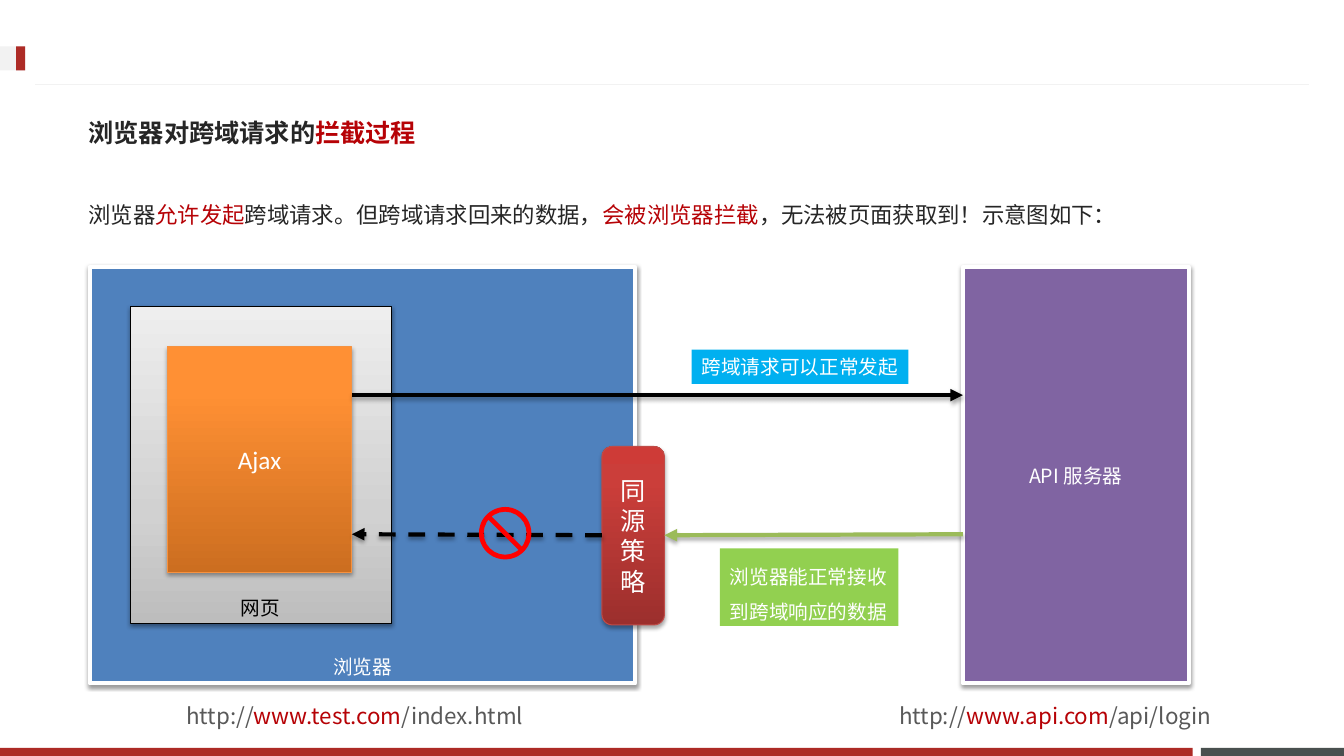
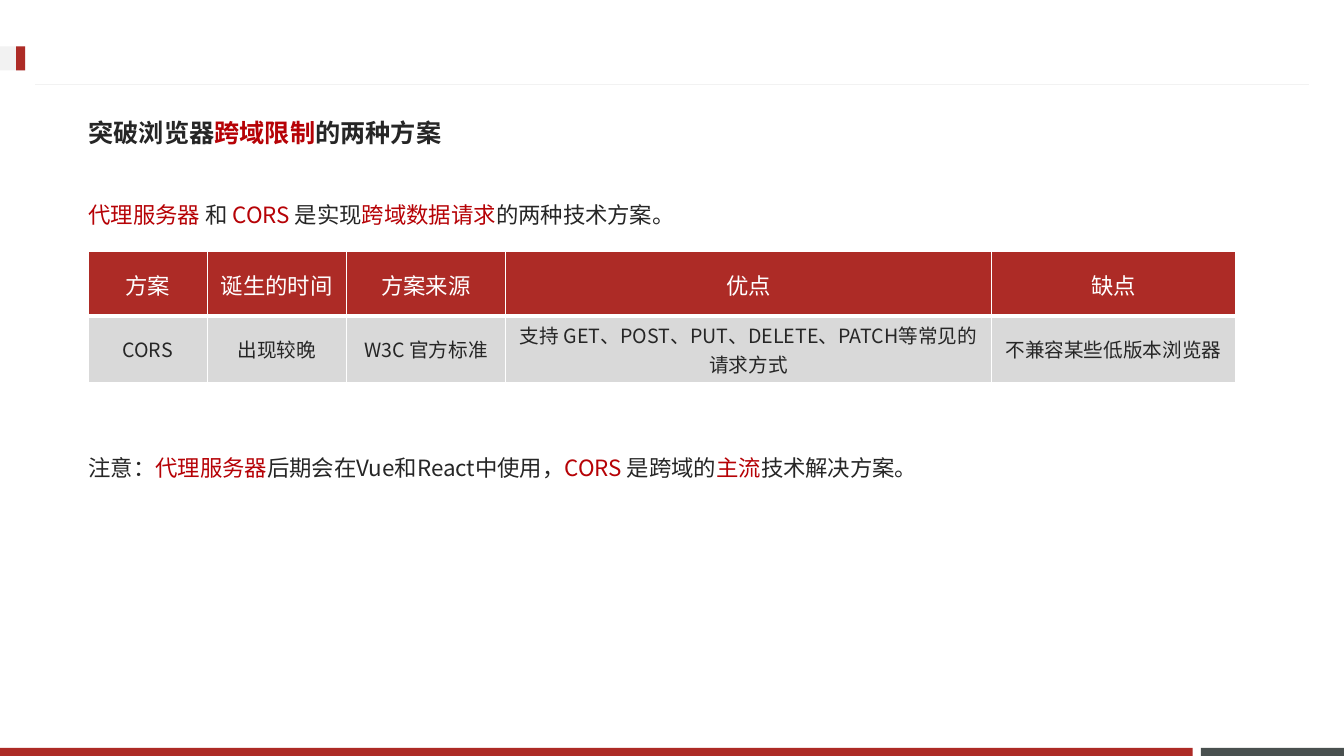
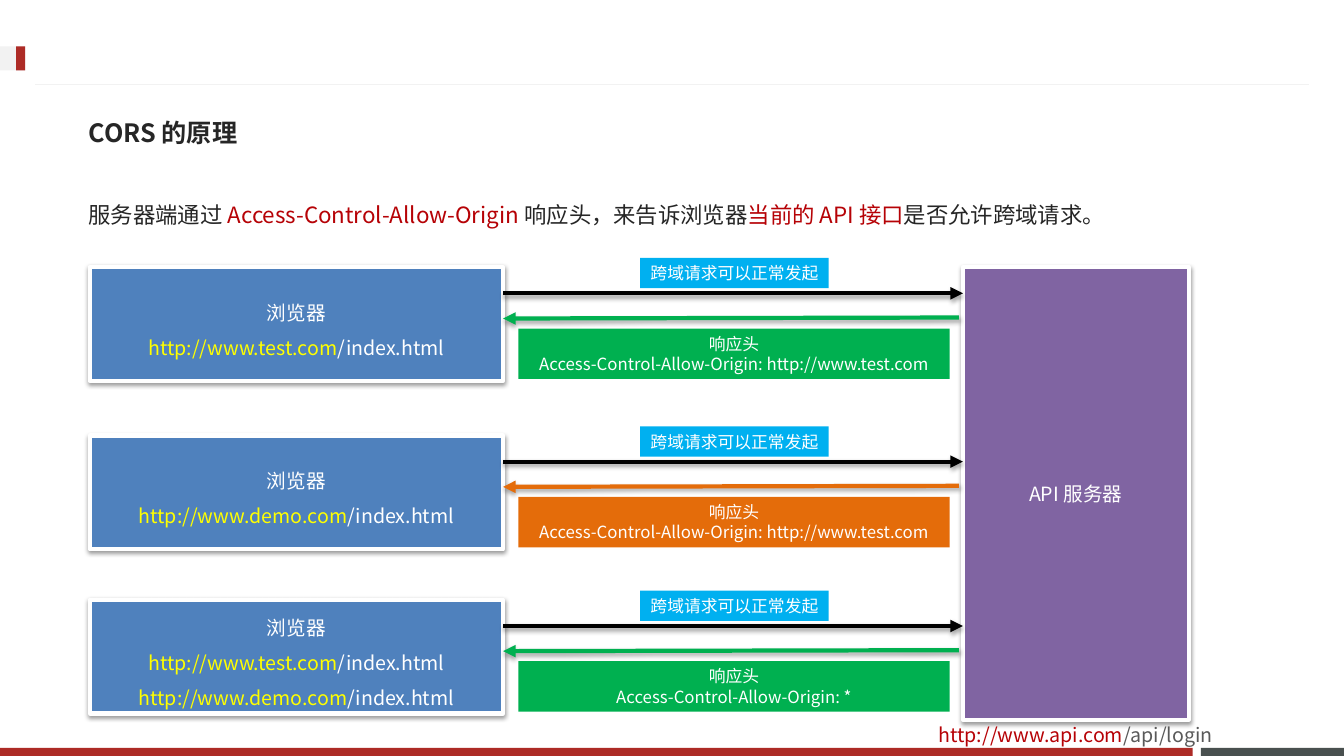
from dataclasses import dataclass

from lxml.etree import SubElement
from pptx import Presentation
from pptx.dml.color import RGBColor
from pptx.enum.dml import MSO_LINE_DASH_STYLE as Dash
from pptx.enum.shapes import MSO_CONNECTOR as Connector, MSO_SHAPE as Preset
from pptx.enum.text import MSO_ANCHOR as Anchor, PP_ALIGN as Align
from pptx.oxml.ns import qn
from pptx.util import Inches, Pt

WIDTH, HEIGHT = Inches(13.33), Inches(7.5)
COLUMN, ROW = WIDTH / 133.3, HEIGHT / 75
FONT, LATIN_FONT = "Noto Sans CJK JP", "Calibri"

BLACK = RGBColor(0x00, 0x00, 0x00)
WHITE = RGBColor(0xFF, 0xFF, 0xFF)
BRAND = RGBColor(0xAD, 0x2B, 0x26)
ACCENT = RGBColor(0xB6, 0x02, 0x06)
INK = RGBColor(0x26, 0x26, 0x26)
GRAY = RGBColor(0x59, 0x59, 0x59)
SLATE = RGBColor(0x49, 0x50, 0x4F)
PALE = RGBColor(0xF2, 0xF2, 0xF2)
CELL = RGBColor(0xD9, 0xD9, 0xD9)
BLUE = RGBColor(0x4F, 0x81, 0xBD)
PURPLE = RGBColor(0x80, 0x64, 0xA2)
SKY = RGBColor(0x00, 0xB0, 0xF0)
LIME = RGBColor(0x92, 0xD0, 0x50)
OLIVE = RGBColor(0x9B, 0xBB, 0x59)
GREEN = RGBColor(0x00, 0xB0, 0x50)
ORANGE = RGBColor(0xE4, 0x6C, 0x0A)
YELLOW = RGBColor(0xFF, 0xFF, 0x00)
RED = RGBColor(0xFF, 0x00, 0x00)
ORANGE_EDGE = RGBColor(0xF6, 0x92, 0x40)
RED_EDGE = RGBColor(0xBF, 0x4C, 0x48)

PAGE_GRADIENT = ((0, "BDBDBD"), (35, "D1D1D1"), (100, "EEEEEE"))
AJAX_GRADIENT = ((0, "CC6E20"), (80, "FF9034"), (100, "FF9136"))
POLICY_GRADIENT = ((0, "9C2F2D"), (80, "CB3E3A"), (100, "CE3B37"))


@dataclass(frozen=True)
class Frame:
    left: float
    top: float
    width: float
    height: float

    def emu(self) -> tuple:
        return (round(self.left * COLUMN), round(self.top * ROW),
                round(self.width * COLUMN), round(self.height * ROW))


@dataclass(frozen=True)
class Shadow:
    alpha: int
    blur: float
    distance: float


@dataclass(frozen=True)
class Exchange:
    top: float
    browser: str
    header: str
    color: RGBColor


PANEL_SHADOW = Shadow(38, 3.1, 1.6)
RAISED_SHADOW = Shadow(35, 3.1, 1.8)
REQUEST = "跨域请求可以正常发起"
SERVER_LEFT = 95.5

BANDS = (
    (Frame(119.1, 74.2, 14.2, 0.8), SLATE),
    (Frame(0, 74.2, 118.3, 0.8), BRAND),
    (Frame(0, 4.6, 2.5, 2.4), PALE),
    (Frame(1.6, 4.6, 0.9, 2.4), BRAND),
)

EXCHANGES = (
    Exchange(26.5, "浏览器\n|http://www.test.com|/index.html", "http://www.test.com", GREEN),
    Exchange(43.2, "浏览器\n|http://www.demo.com|/index.html", "http://www.test.com", ORANGE),
    Exchange(59.5, "浏览器\n|http://www.test.com|/index.html\n|http://www.demo.com|/index.html",
             "*", GREEN),
)

SCHEMES = (
    ("方案", "诞生的时间", "方案来源", "优点", "缺点"),
    ("CORS", "出现较晚", "W3C 官方标准",
     "支持 GET、POST、PUT、DELETE、PATCH等常见的请求方式", "不兼容某些低版本浏览器"),
)
SCHEME_COLUMNS = (11.8, 13.8, 15.8, 48.2, 24.2)
SCHEME_ROWS = (6.4, 6.6)


def write(text_frame, text: str, *, size: float, color: RGBColor = WHITE,
          accent: RGBColor = ACCENT, bold: bool = False, font: str = FONT,
          align=None, spacing=None, before=None) -> None:
    for number, line in enumerate(text.split("\n")):
        paragraph = text_frame.add_paragraph() if number else text_frame.paragraphs[0]
        paragraph.alignment = align
        paragraph.line_spacing = spacing
        paragraph.space_before = before
        for position, part in enumerate(line.split("|")):
            if not part:
                continue
            run = paragraph.add_run()
            run.text = part
            run.font.size = Pt(size)
            run.font.bold = bold
            run.font.name = font
            run.font.color.rgb = accent if position % 2 else color
            SubElement(run.font._element, qn("a:ea"), typeface=FONT)


def set_effect(shape, shadow: Shadow | None) -> None:
    properties = shape._element.spPr
    effects = SubElement(properties, qn("a:effectLst"))
    if shadow:
        outer = SubElement(effects, qn("a:outerShdw"), blurRad=str(Pt(shadow.blur)),
                           dist=str(Pt(shadow.distance)), dir="5400000", rotWithShape="0")
        tint = SubElement(outer, qn("a:srgbClr"), val="000000")
        SubElement(tint, qn("a:alpha"), val=str(shadow.alpha * 1000))


def set_gradient(shape, stops: tuple) -> None:
    shape.fill.gradient()
    shape.fill.gradient_angle = 90
    stop_list = shape._element.spPr.find(qn("a:gradFill")).find(qn("a:gsLst"))
    for child in list(stop_list):
        stop_list.remove(child)
    for position, color in stops:
        stop = SubElement(stop_list, qn("a:gs"), pos=str(position * 1000))
        SubElement(stop, qn("a:srgbClr"), val=color)


def add_block(slide, frame: Frame, fill, *, text: str = "", preset=Preset.RECTANGLE,
              edge: RGBColor | None = None, edge_width: float = 0.75,
              shadow: Shadow | None = None, anchor=Anchor.MIDDLE, wrap: bool = True,
              **text_format):
    shape = slide.shapes.add_shape(preset, *frame.emu())
    if isinstance(fill, RGBColor):
        shape.fill.solid()
        shape.fill.fore_color.rgb = fill
    else:
        set_gradient(shape, fill)
    if edge is None:
        shape.line.fill.background()
    else:
        shape.line.color.rgb = edge
        shape.line.width = Pt(edge_width)
    set_effect(shape, shadow)
    if text:
        shape.text_frame.word_wrap = wrap
        shape.text_frame.vertical_anchor = anchor
        write(shape.text_frame, text, **text_format)
    return shape


def add_panel(slide, frame: Frame, fill: RGBColor, text: str, **options) -> None:
    add_block(slide, frame, fill, text=text, edge=WHITE, edge_width=3,
              shadow=PANEL_SHADOW, size=14, align=Align.CENTER, **options)


def add_label(slide, frame: Frame, fill: RGBColor, text: str, size: float, **options) -> None:
    add_block(slide, frame, fill, text=text, size=size, anchor=Anchor.TOP,
              wrap=False, **options)


def add_text(slide, frame: Frame, text: str, *, anchor=Anchor.TOP, **text_format) -> None:
    box = slide.shapes.add_textbox(*frame.emu())
    box.text_frame.word_wrap = True
    box.text_frame.vertical_anchor = anchor
    write(box.text_frame, text, **text_format)


def add_line(slide, start: tuple, end: tuple, color: RGBColor, *, width: float = 3,
             shadow: Shadow | None = RAISED_SHADOW, arrow: bool = True, dash=None) -> None:
    line = slide.shapes.add_connector(
        Connector.STRAIGHT, round(start[0] * COLUMN), round(start[1] * ROW),
        round(end[0] * COLUMN), round(end[1] * ROW))
    line.line.color.rgb = color
    line.line.width = Pt(width)
    if dash is not None:
        line.line.dash_style = dash
    if arrow:
        SubElement(line.line._get_or_add_ln(), qn("a:tailEnd"), type="triangle")
    set_effect(line, shadow)


def add_page(presentation, title: str, lead: str):
    slide = presentation.slides.add_slide(presentation.slide_layouts[6])
    for frame, color in BANDS:
        add_block(slide, frame, color)
    add_line(slide, (129.8, 8.4), (3.5, 8.4), PALE, width=0.75, shadow=None, arrow=False)
    add_text(slide, Frame(7.8, 10.3, 117, 5.7), title, size=18, color=INK, bold=True,
             anchor=Anchor.MIDDLE, before=Pt(3.6))
    add_text(slide, Frame(7.8, 18.1, 117, 5.7), lead, size=16, color=INK,
             spacing=1.5, before=Pt(3.2))
    return slide


def add_server(slide, height: float) -> None:
    add_panel(slide, Frame(SERVER_LEFT, 26.5, 22.4, height), PURPLE, "API 服务器")


def build_interception(presentation) -> None:
    slide = add_page(presentation, "浏览器对跨域请求的|拦截过程",
                     "浏览器|允许发起|跨域请求。但跨域请求回来的数据，|会被浏览器拦截|"
                     "，无法被页面获取到！示意图如下：")
    add_server(slide, 41.3)
    add_panel(slide, Frame(8.9, 26.5, 54.1, 41.3), BLUE, "浏览器", anchor=Anchor.BOTTOM)
    for left, address in ((88.2, "http://|www.api.com|/api/login"),
                          (17.5, "http://|www.test.com|/index.html")):
        add_text(slide, Frame(left, 69.2, 37, 3.7), address, size=16, color=GRAY)
    add_block(slide, Frame(12.9, 30.4, 25.9, 31.5), PAGE_GRADIENT, text="网页", edge=BLACK,
              shadow=PANEL_SHADOW, anchor=Anchor.BOTTOM, size=14, color=BLACK,
              align=Align.CENTER)
    add_block(slide, Frame(16.6, 34.4, 18.3, 22.4), AJAX_GRADIENT, text="Ajax",
              edge=ORANGE_EDGE, shadow=RAISED_SHADOW, size=18, font=LATIN_FONT,
              align=Align.CENTER)
    add_block(slide, Frame(59.7, 44.3, 6.2, 17.7), POLICY_GRADIENT, text="同源策略",
              preset=Preset.ROUNDED_RECTANGLE, edge=RED_EDGE, shadow=RAISED_SHADOW,
              size=18, font=LATIN_FONT, align=Align.CENTER)
    add_label(slide, Frame(71.4, 54.4, 17.7, 7.7), LIME,
              "浏览器能正常接收\n到跨域响应的数据", 14, spacing=1.5, align=Align.LEFT)
    add_line(slide, (SERVER_LEFT, 53), (65.9, 53.1), OLIVE)
    add_line(slide, (34.9, 39.2), (SERVER_LEFT, 39.2), BLACK)
    add_label(slide, Frame(68.6, 34.7, 21.5, 3.4), SKY, REQUEST, 14, align=Align.LEFT)
    add_line(slide, (59.7, 53.1), (34.9, 53), BLACK, dash=Dash.DASH)
    blocked = add_block(slide, Frame(47.5, 50.3, 5.2, 5.2), RED, preset=Preset.NO_SYMBOL)
    blocked.adjustments[0] = 0.09


def set_borders(cell, top: float, bottom: float) -> None:
    properties = cell._tc.get_or_add_tcPr()
    widths = {"a:lnL": 1, "a:lnR": 1, "a:lnT": top, "a:lnB": bottom}
    for position, (side, width) in enumerate(widths.items()):
        border = SubElement(properties, qn(side), w=str(Pt(width)))
        SubElement(SubElement(border, qn("a:solidFill")), qn("a:srgbClr"), val=str(WHITE))
        properties.insert(position, border)


def build_schemes(presentation) -> None:
    slide = add_page(presentation, "突破浏览器|跨域限制|的两种方案",
                     "|代理服务器 |和 |CORS |是实现|跨域数据请求|的两种技术方案。")
    frame = Frame(8.75, 24.95, sum(SCHEME_COLUMNS), sum(SCHEME_ROWS))
    table = slide.shapes.add_table(len(SCHEME_ROWS), len(SCHEME_COLUMNS), *frame.emu()).table
    for column, width in zip(table.columns, SCHEME_COLUMNS):
        column.width = round(width * COLUMN)
    for row_number, (row, height) in enumerate(zip(table.rows, SCHEME_ROWS)):
        row.height = round(height * ROW)
        header = row_number == 0
        for cell, text in zip(row.cells, SCHEMES[row_number]):
            cell.fill.solid()
            cell.fill.fore_color.rgb = BRAND if header else CELL
            cell.vertical_anchor = Anchor.MIDDLE
            write(cell.text_frame, text, size=16 if header else 14,
                  color=WHITE if header else INK, align=Align.CENTER,
                  spacing=Pt(24) if header else None)
            set_borders(cell, top=1 if header else 3, bottom=3 if header else 1)
    add_text(slide, Frame(7.8, 44.6, 110.2, 3.7),
             "注意：|代理服务器|后期会在Vue和React中使用，|CORS |是跨域的|主流|技术解决方案。",
             size=16, color=INK)


def add_exchange(slide, exchange: Exchange) -> None:
    top, right = exchange.top, 49.9
    add_panel(slide, Frame(8.9, top, 41, 11.3), BLUE, exchange.browser,
              accent=YELLOW, spacing=1.5)
    add_label(slide, Frame(51.4, top + 6.1, 42.8, 5), exchange.color,
              f"响应头\nAccess-Control-Allow-Origin: {exchange.header}", 12,
              align=Align.CENTER)
    add_line(slide, (95.1, top + 5), (right, top + 5.1), exchange.color)
    add_line(slide, (right, top + 2.6), (SERVER_LEFT, top + 2.6), BLACK)
    add_label(slide, Frame(63.5, top - 0.9, 18.7, 3), SKY, REQUEST, 12, align=Align.CENTER)


def build_principle(presentation) -> None:
    slide = add_page(presentation, "CORS 的原理",
                     "服务器端通过 |Access-Control-Allow-Origin |响应头，来告诉浏览器"
                     "|当前的 API 接口|是否允许跨域请求。")
    add_server(slide, 44.9)
    add_text(slide, Frame(92.1, 71.2, 37, 3.4), "|http://www.api.com|/api/login",
             size=14, color=GRAY)
    for exchange in EXCHANGES:
        add_exchange(slide, exchange)


def main() -> None:
    presentation = Presentation()
    presentation.slide_width, presentation.slide_height = WIDTH, HEIGHT
    build_interception(presentation)
    build_schemes(presentation)
    build_principle(presentation)
    presentation.save("out.pptx")


main()
